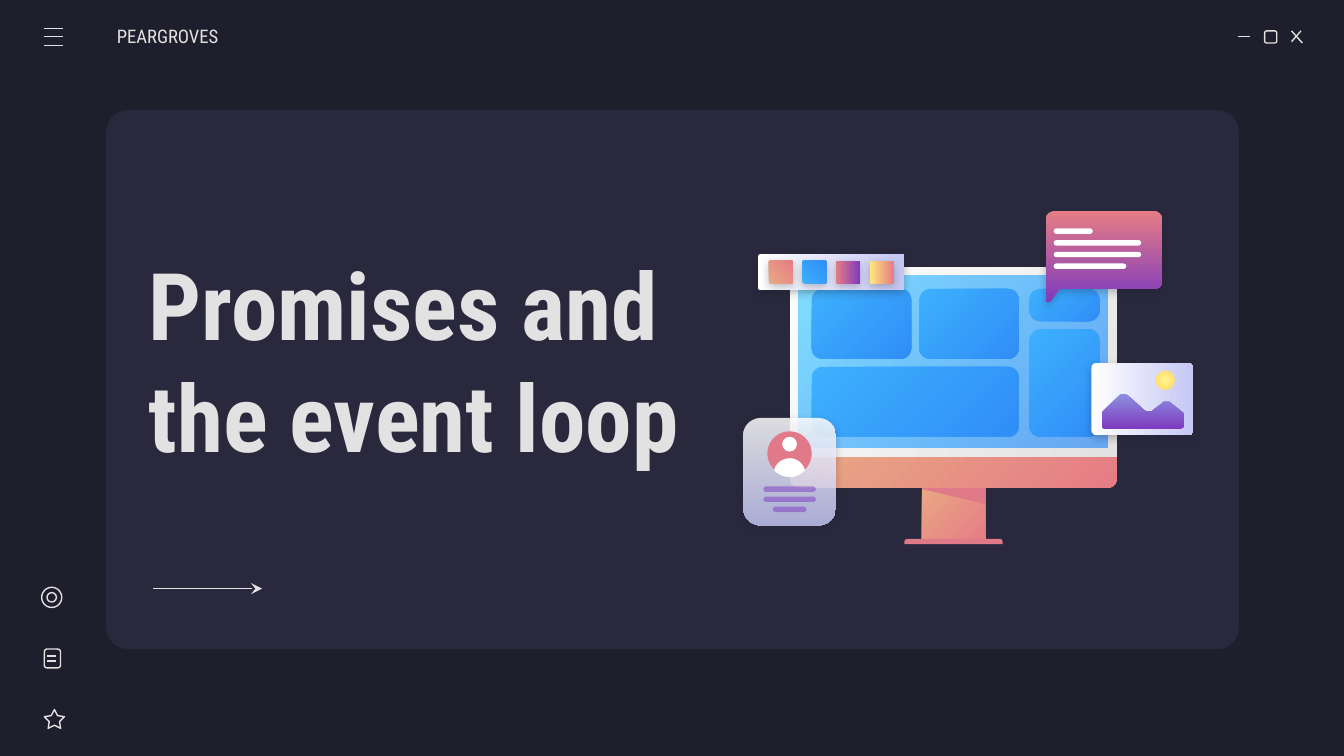
from lxml import etree
from pptx import Presentation
from pptx.dml.color import RGBColor
from pptx.enum.shapes import MSO_CONNECTOR, MSO_SHAPE as Shape
from pptx.enum.text import MSO_ANCHOR
from pptx.oxml.ns import qn
from pptx.util import Inches, Pt

NIGHT = RGBColor(0x1E, 0x1E, 0x2C)
PANEL = RGBColor(0x29, 0x28, 0x3D)
LIGHT = RGBColor(0xE2, 0xE2, 0xE2)
WHITE = RGBColor(0xFF, 0xFF, 0xFF)
PEACH = RGBColor(0xE9, 0xA9, 0x84)
CORAL = RGBColor(0xE5, 0x7C, 0x85)
ROSE = RGBColor(0xE0, 0x7A, 0x88)
PURPLE = RGBColor(0x7E, 0x3B, 0xBE)
VIOLET = RGBColor(0x8D, 0x90, 0xE1)
LAVENDER = RGBColor(0xC5, 0xC7, 0xF4)
AQUA = RGBColor(0x80, 0xDF, 0xFF)
AZURE = RGBColor(0x31, 0x8F, 0xFA)
SKY = RGBColor(0x3D, 0xB0, 0xFD)
BLUE = RGBColor(0x30, 0x8E, 0xF7)
LEMON = RGBColor(0xFF, 0xF6, 0x8E)
YELLOW = RGBColor(0xFF, 0xEA, 0x7D)
GOLD = RGBColor(0xFF, 0xD9, 0x66)

presentation = Presentation()
presentation.slide_width = Inches(10)
presentation.slide_height = Inches(10) * 9 // 16
slide = presentation.slides.add_slide(presentation.slide_layouts[6])
slide.background.fill.solid()
slide.background.fill.fore_color.rgb = NIGHT
shapes = slide.shapes


def paint(shape, colors=(), angle=0, alphas=(), shadow=False):
    """Fill with no, one or two colours (angle clockwise); without a fill, draw a light outline."""
    shape.shadow.inherit = False
    if len(colors) == 2:
        shape.fill.gradient()
        shape.fill.gradient_angle = -angle % 360
        for stop, color in zip(shape.fill.gradient_stops, colors):
            stop.color.rgb = color
    elif colors:
        shape.fill.solid()
        shape.fill.fore_color.rgb = colors[0]
    else:
        shape.fill.background()
    properties = shape._element.spPr
    for color, alpha in zip(properties.iter(qn("a:srgbClr")), alphas):
        etree.SubElement(color, qn("a:alpha"), val=str(alpha * 1000))
    if colors:
        shape.line.fill.background()
    else:
        shape.line.color.rgb = LIGHT
        shape.line.width = Pt(0.75)
    if shadow:
        outer = etree.SubElement(
            properties.find(qn("a:effectLst")), qn("a:outerShdw"), blurRad=str(Pt(4.5)),
            dist=str(Pt(1.5)), dir="5400000", algn="bl", rotWithShape="0")
        color = etree.SubElement(outer, qn("a:srgbClr"), val=str(NIGHT))
        etree.SubElement(color, qn("a:alpha"), val="27000")


def add_part(kind, box, *paint_values, radius=None, **paint_options):
    shape = shapes.add_shape(kind, *map(Inches, box))
    if radius is not None:
        shape.adjustments[0] = min(radius / min(box[2:]), 0.5)
    paint(shape, *paint_values, **paint_options)
    return shape


# Window frame
add_part(Shape.ROUNDED_RECTANGLE, (0.79, 0.82, 8.43, 4.01), [PANEL], radius=0.16)
add_part(Shape.ROUNDED_RECTANGLE, (9.41, 0.23, 0.09, 0.09), radius=0.015)

# Sidebar icons
star = add_part(Shape.STAR_5_POINT, (0.33, 5.28, 0.15, 0.14))
star.adjustments[0] = 0.254
add_part(Shape.ROUNDED_RECTANGLE, (0.33, 4.83, 0.12, 0.14), radius=0.02)
add_part(Shape.OVAL, (0.31, 4.37, 0.15, 0.15))
add_part(Shape.OVAL, (0.35, 4.41, 0.07, 0.07))

# Menu bars, window buttons, note lines and, last, the arrow
lines = [(0.33, y, 0.47, y) for y in (0.21, 0.27, 0.34)]
lines += [(9.21, 0.27, 9.3, 0.27), (9.61, 0.23, 9.69, 0.32), (9.68, 0.23, 9.61, 0.31)]
lines += [(0.35, y, 0.42, y) for y in (4.88, 4.92)]
lines += [(1.14, 4.38, 1.95, 4.38)]
for ends in lines:
    connector = shapes.add_connector(MSO_CONNECTOR.STRAIGHT, *map(Inches, ends))
    connector.line.color.rgb = LIGHT
    connector.line.width = Pt(0.75)
    etree.SubElement(connector._element.spPr, qn("a:effectLst"))
arrow_line = connector._element.spPr.find(qn("a:ln"))
etree.SubElement(arrow_line, qn("a:tailEnd"), type="stealth")

# Brand and title
texts = [
    ("PEARGROVES", (0.87, 0.12, 1.17, 0.3), 0, {"size": Pt(10)}),
    ("Promises and the event loop", (1.01, 1.44, 4.91, 2.47), 0.1, {"size": Pt(50), "bold": True}),
]
for text, box, left_margin, font_values in texts:
    frame = shapes.add_textbox(*map(Inches, box)).text_frame
    frame.word_wrap = True
    frame.vertical_anchor = MSO_ANCHOR.MIDDLE
    frame.margin_left = Inches(left_margin)
    frame.margin_right = frame.margin_top = frame.margin_bottom = Inches(0.1)
    run = frame.paragraphs[0].add_run()
    run.text = text
    run.font.color.rgb = LIGHT
    for name, value in ({"name": "Roboto Condensed"} | font_values).items():
        setattr(run.font, name, value)

# Monitor
add_part(Shape.RECTANGLE, (6.86, 3.61, 0.47, 0.43), [PEACH, CORAL], 45)
add_part(Shape.ROUND_2_SAME_RECTANGLE, (6.73, 4.01, 0.73, 0.04), [ROSE], radius=0.03)
stand_shade = shapes.build_freeform(Inches(6.86), Inches(3.61), scale=1.0)
stand_shade.add_line_segments(
    [(Inches(x), Inches(y)) for x, y in ((6.86, 3.64), (7.33, 3.75), (7.33, 3.61))])
paint(stand_shade.convert_to_shape(), [ROSE])
chin = add_part(Shape.ROUND_2_SAME_RECTANGLE, (5.88, 3.39, 2.43, 0.24), [PEACH, CORAL], 45, radius=0)
chin.adjustments[1] = 0.27
add_part(Shape.ROUND_2_SAME_RECTANGLE, (5.88, 1.99, 2.43, 1.41), [WHITE, LIGHT], 45, radius=0.06)
add_part(Shape.RECTANGLE, (5.94, 2.05, 2.3, 1.28), [AQUA, AZURE], 45, alphas=(100, 69))
tiles = [(6.04, 2.15, 0.74, 0.52), (6.04, 2.73, 1.54, 0.52), (6.84, 2.15, 0.74, 0.52),
         (7.66, 2.15, 0.52, 0.24), (7.66, 2.45, 0.52, 0.8)]
for tile in tiles:
    add_part(Shape.ROUNDED_RECTANGLE, tile, [SKY, BLUE], 45, radius=0.08)

# Cards behind the curved outlines
add_part(Shape.ROUNDED_RECTANGLE, (5.53, 3.11, 0.69, 0.8), [WHITE, LAVENDER], 90, (83, 83), True,
         radius=0.13)
add_part(Shape.OVAL, (5.71, 3.21, 0.33, 0.33), [ROSE])
add_part(Shape.OVAL, (5.82, 3.25, 0.11, 0.11), [WHITE])
add_part(Shape.ROUNDED_RECTANGLE, (8.12, 2.7, 0.76, 0.54), [WHITE, LAVENDER], shadow=True, radius=0.04)

# Curved outlines: pairs are straight segments, sixes are Bezier segments
bubble = [(7.85, 1.57), (7.81, 1.57, 7.78, 1.6, 7.78, 1.64), (7.78, 2.24),
          (7.78, 2.25, 7.79, 2.25, 7.8, 2.25), (7.81, 2.25), (7.88, 2.15), (8.59, 2.15),
          (8.62, 2.15, 8.65, 2.12, 8.65, 2.09), (8.65, 1.64), (8.65, 1.6, 8.62, 1.57, 8.59, 1.57)]
shoulders = [(5.88, 3.41), (5.82, 3.41, 5.77, 3.45, 5.76, 3.5), (5.79, 3.53, 5.83, 3.55, 5.88, 3.55),
             (5.92, 3.55, 5.96, 3.53, 5.99, 3.5), (5.98, 3.45, 5.93, 3.41, 5.88, 3.41)]
mountains = [(8.36, 2.93), (8.35, 2.93, 8.34, 2.93, 8.33, 2.94), (8.21, 3.06),
             (8.2, 3.07, 8.2, 3.07, 8.2, 3.08), (8.2, 3.16), (8.2, 3.18, 8.21, 3.19, 8.23, 3.19),
             (8.77, 3.19), (8.79, 3.19, 8.81, 3.18, 8.81, 3.16), (8.81, 3.09),
             (8.81, 3.08, 8.8, 3.07, 8.8, 3.07), (8.7, 2.99), (8.69, 2.99, 8.68, 2.99, 8.67, 2.99),
             (8.66, 2.99, 8.65, 2.99, 8.65, 3), (8.57, 3.06), (8.56, 3.06, 8.55, 3.06, 8.54, 3.06),
             (8.53, 3.06, 8.52, 3.06, 8.51, 3.05), (8.39, 2.94), (8.38, 2.93, 8.37, 2.93, 8.36, 2.93)]
STEPS = 8
for outline, colors, shadow in ((bubble, [CORAL, PURPLE], True), (shoulders, [WHITE], False),
                                (mountains, [VIOLET, PURPLE], False)):
    points = [outline[0]]
    for segment in outline[1:]:
        if len(segment) == 2:
            points.append(segment)
            continue
        controls = [points[-1], segment[:2], segment[2:4], segment[4:]]
        for step in range(1, STEPS + 1):
            t = step / STEPS
            weights = ((1 - t) ** 3, 3 * t * (1 - t) ** 2, 3 * t * t * (1 - t), t ** 3)
            points.append(tuple(sum(w * p[axis] for w, p in zip(weights, controls)) for axis in (0, 1)))
    corners = [(Inches(x), Inches(y)) for x, y in points]
    builder = shapes.build_freeform(*corners[0], scale=1.0)
    builder.add_line_segments(corners[1:])
    paint(builder.convert_to_shape(), colors, 90, shadow=shadow)

# Text bars on the bubble and the profile card
for row, width in enumerate((0.29, 0.65, 0.65, 0.54)):
    add_part(Shape.ROUNDED_RECTANGLE, (7.84, 1.7 + 0.087 * row, width, 0.04), [WHITE], radius=0.02)
for row, width in enumerate((0.39, 0.39, 0.25)):
    add_part(Shape.ROUNDED_RECTANGLE, (5.875 - width / 2, 3.62 + 0.075 * row, width, 0.04), [PURPLE],
             alphas=(51,), radius=0.02)

# Sun with a radial gradient
sun = add_part(Shape.OVAL, (8.6, 2.76, 0.14, 0.14), [LEMON, GOLD])
linear = next(sun._element.spPr.iter(qn("a:lin")))
radial = etree.Element(qn("a:path"), {"path": "circle"})
etree.SubElement(radial, qn("a:fillToRect"), dict.fromkeys("ltrb", "50000"))
linear.getparent().replace(linear, radial)

# Palette toolbar
add_part(Shape.ROUNDED_RECTANGLE, (5.64, 1.89, 1.09, 0.27), [WHITE, LAVENDER], shadow=True, radius=0.02)
swatches = [([PEACH, CORAL], 315), ([SKY, BLUE], 315), ([CORAL, PURPLE], 0), ([YELLOW, CORAL], 0)]
for column, (colors, angle) in enumerate(swatches):
    add_part(Shape.ROUNDED_RECTANGLE, (5.72 + 0.25 * column, 1.94, 0.18, 0.17), colors, angle,
             shadow=True, radius=0.01)

presentation.save("out.pptx")
